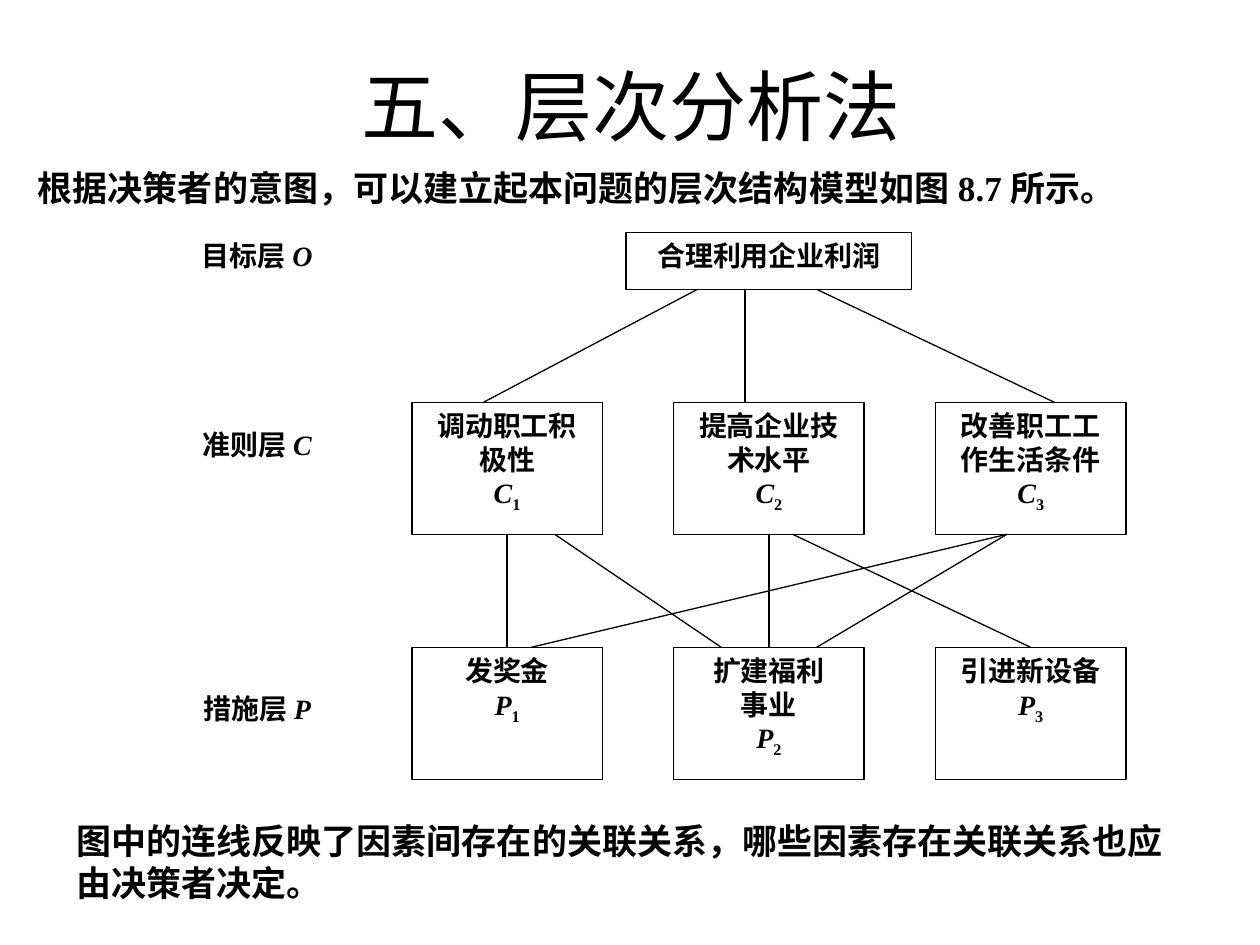
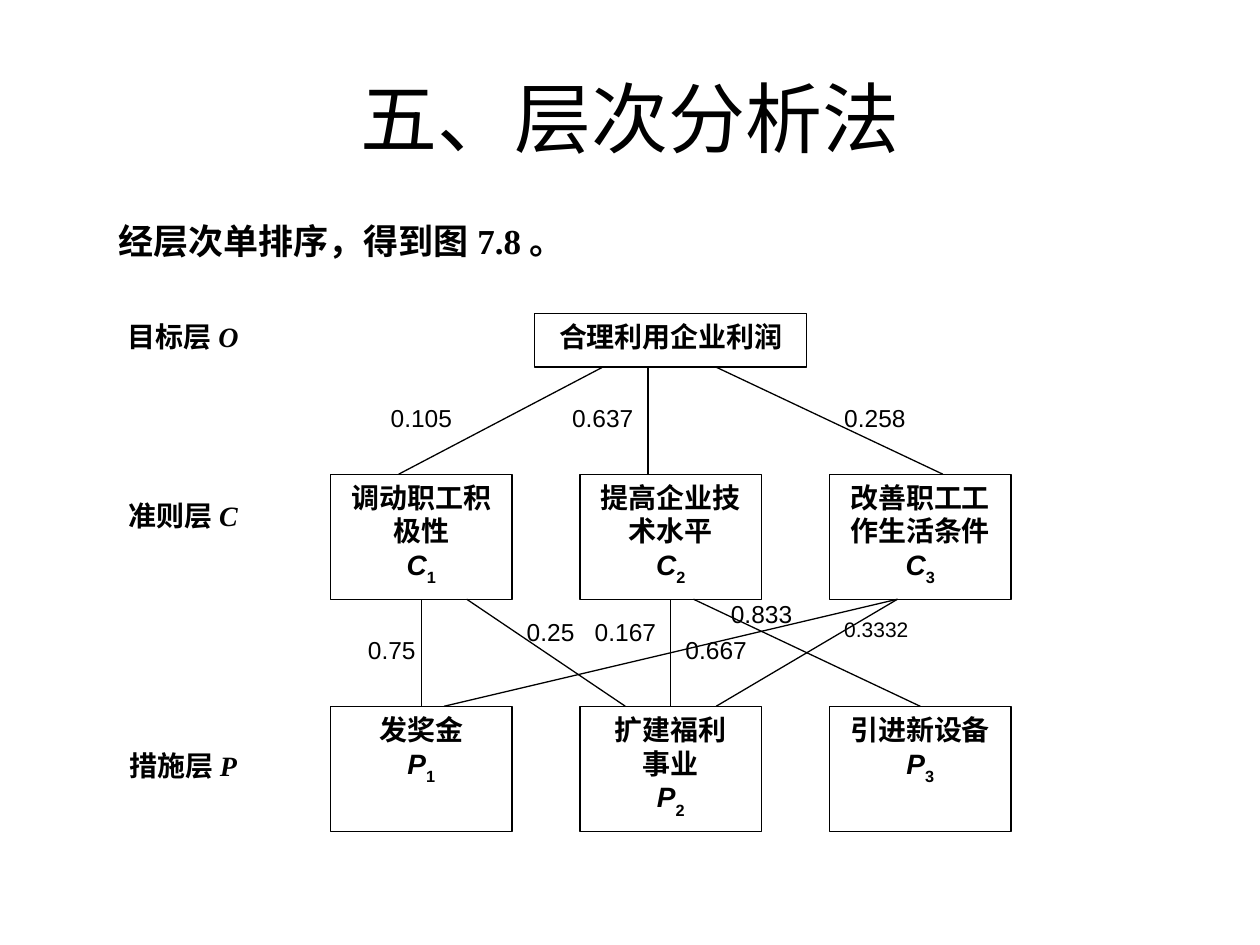
"""Build two slides showing the goal, criterion and measure layers of a hierarchy model."""
from dataclasses import dataclass

from lxml import etree
from pptx import Presentation
from pptx.dml.color import RGBColor
from pptx.enum import shapes, text
from pptx.oxml.ns import qn
from pptx.util import Pt

COLORS = {"ink": "000000", "box": "FFFFFF"}
SERIF, SANS = "Times New Roman", "Arial"
TITLE = "五、层次分析法"
INSETS = (7.2, 3.6, 7.2, 3.6)

GOAL = "合理利用企业利润"
CRITERIA = ["调动职工积极性", "提高企业技术水平", "改善职工工作生活条件"]
MEASURES = ["发奖金", "扩建福利\n事业", "引进新设备"]
LAYERS = [("目标层", "O", 0), ("准则层", "C", 10), ("措施层", "P", 24)]

# Tree positions are in grid units, counted from the top left of the layer labels.
LABEL_SIZE = (7, 3)
GOAL_AREA = (19, 0, 12, 3)
FIRST_COLUMN, COLUMN_PITCH = 10, 11
FACTOR_SIZE = (8, 7)
LAYER_TOPS = {"C": 9, "P": 22}
RELATIONS = [
    ("O", 22, "C1", 13), ("O", 27, "C3", 37), ("O", 24, "C2", 24),
    ("C1", 14, "P1", 14), ("C2", 25, "P2", 25), ("C1", 16, "P2", 23),
    ("C3", 35, "P2", 27), ("C3", 35, "P1", 15), ("C2", 26, "P3", 36),
]
WEIGHTS = [
    ("0.105", 12.65, 5, 14), ("0.637", 20.65, 5, 14), ("0.258", 32.65, 5, 14),
    ("0.75", 11.65, 18, 14), ("0.25", 18.65, 17, 14), ("0.167", 21.65, 17, 14),
    ("0.833", 27.65, 16, 14), ("0.667", 25.65, 18, 14), ("0.3332", 32.65, 17, 12),
]


@dataclass
class Grid:
    left: float
    top: float
    unit_x: float
    unit_y: float

    def point(self, x, y):
        return Pt(self.left + x * self.unit_x), Pt(self.top + y * self.unit_y)

    def area(self, x, y, width, height):
        return *self.point(x, y), Pt(width * self.unit_x), Pt(height * self.unit_y)


def color(name):
    return RGBColor.from_string(COLORS[name])


def style_run(run, size, font=SERIF, bold=True, italic=False):
    run.font.size, run.font.name = Pt(size), font
    run.font.bold, run.font.italic = bold, italic
    run.font.color.rgb = color("ink")


def fill_frame(frame, words, size, font=SERIF, bold=True, align=None, insets=INSETS):
    frame.word_wrap = True
    frame.margin_left, frame.margin_top, frame.margin_right, frame.margin_bottom = map(Pt, insets)
    frame.text = words
    for paragraph in frame.paragraphs:
        paragraph.alignment = align
        for run in paragraph.runs:
            style_run(run, size, font, bold)


def add_title(slide, left, top):
    title = slide.shapes.title
    title.left, title.top, title.width, title.height = map(Pt, (left, top, 648, 90))
    fill_frame(title.text_frame, TITLE, 44, SANS, False, text.PP_ALIGN.CENTER)
    title.text_frame.vertical_anchor = text.MSO_ANCHOR.MIDDLE


def add_statement(slide, words, left, top, width, height, wrap=False):
    frame = slide.shapes.add_textbox(*map(Pt, (left, top, width, height))).text_frame
    fill_frame(frame, words, 20)
    frame.word_wrap = wrap
    frame.auto_size = text.MSO_AUTO_SIZE.SHAPE_TO_FIT_TEXT
    frame.vertical_anchor = text.MSO_ANCHOR.MIDDLE


def add_layer_label(slide, grid, name, symbol, top):
    frame = slide.shapes.add_textbox(*grid.area(0, top, *LABEL_SIZE)).text_frame
    fill_frame(frame, name, 16, align=text.PP_ALIGN.CENTER)
    letter = frame.paragraphs[0].add_run()
    letter.text = symbol
    style_run(letter, 16, italic=True)


def add_box(slide, area, words):
    box = slide.shapes.add_shape(shapes.MSO_SHAPE.RECTANGLE, *area)
    box.shadow.inherit = False
    box.fill.solid()
    box.fill.fore_color.rgb = color("box")
    box.line.color.rgb = color("ink")
    box.line.width = Pt(0.75)
    fill_frame(box.text_frame, words, 16, align=text.PP_ALIGN.CENTER)
    box.text_frame.vertical_anchor = text.MSO_ANCHOR.TOP
    return box


def add_factor(slide, grid, name, layer, number, symbol_font, drop):
    column = FIRST_COLUMN + (number - 1) * COLUMN_PITCH
    area = grid.area(column, LAYER_TOPS[layer], *FACTOR_SIZE)
    factor = add_box(slide, area, f"{name}\n{layer}")
    symbol = factor.text_frame.paragraphs[-1]
    style_run(symbol.runs[0], 16, symbol_font, italic=True)
    index = symbol.add_run()
    index.text = str(number)
    style_run(index, 16, symbol_font)
    index._r.get_or_add_rPr().set("baseline", str(drop * -1000))
    return factor


def add_relation(slide, grid, upper, upper_x, lower, lower_x):
    start_x, end_x = grid.point(upper_x, 0)[0], grid.point(lower_x, 0)[0]
    relation = slide.shapes.add_connector(
        shapes.MSO_CONNECTOR.STRAIGHT, start_x, upper.top + upper.height, end_x, lower.top)
    relation.line.color.rgb = color("ink")
    relation.line.width = Pt(0.75)
    etree.SubElement(relation._element.spPr, qn("a:effectLst"))
    if abs(upper.left + upper.width / 2 - start_x) < Pt(1):
        relation.begin_connect(upper, 2)
    if abs(lower.left + lower.width / 2 - end_x) < Pt(1):
        relation.end_connect(lower, 0)


def add_weight(slide, grid, value, x, y, size):
    weight = slide.shapes.add_textbox(*grid.area(x, y, 3, 2))
    fill_frame(weight.text_frame, value, size, SANS, False, insets=(0, 0, 0, 0))


def add_tree(slide, grid, symbol_font, drop):
    nodes = {"O": add_box(slide, grid.area(*GOAL_AREA), GOAL)}
    for layer, names in (("C", CRITERIA), ("P", MEASURES)):
        for number, name in enumerate(names, 1):
            nodes[f"{layer}{number}"] = add_factor(
                slide, grid, name, layer, number, symbol_font, drop)
    for name, symbol, top in LAYERS:
        add_layer_label(slide, grid, name, symbol, top)
    for upper, upper_x, lower, lower_x in RELATIONS:
        add_relation(slide, grid, nodes[upper], upper_x, nodes[lower], lower_x)


def main():
    deck = Presentation()
    deck.slide_width, deck.slide_height = Pt(720), Pt(540)
    title_only = deck.slide_layouts[5]

    model = deck.slides.add_slide(title_only)
    add_title(model, 36.5, 15)
    add_statement(model, "根据决策者的意图，可以建立起本问题的层次结构模型如图8.7所示。",
                  14.5, 91.5, 630, 31.5)
    add_tree(model, Grid(99.4, 133, 13.6, 10.77), SERIF, 25)
    add_statement(model, "图中的连线反映了因素间存在的关联关系，哪些因素存在关联关系也应由决策者决定。",
                  36.5, 464.5, 646.5, 55.5, wrap=True)

    ranking = deck.slides.add_slide(title_only)
    add_title(ranking, 36, 21.6)
    add_statement(ranking, "经层次单排序，得到图7.8。", 60.5, 121.7, 269.3, 31.5)
    weighted = Grid(59.3, 179.2, 12.96, 10.2)
    add_tree(ranking, weighted, SANS, 30)
    for weight in WEIGHTS:
        add_weight(ranking, weighted, *weight)

    deck.save("out.pptx")


if __name__ == "__main__":
    main()
